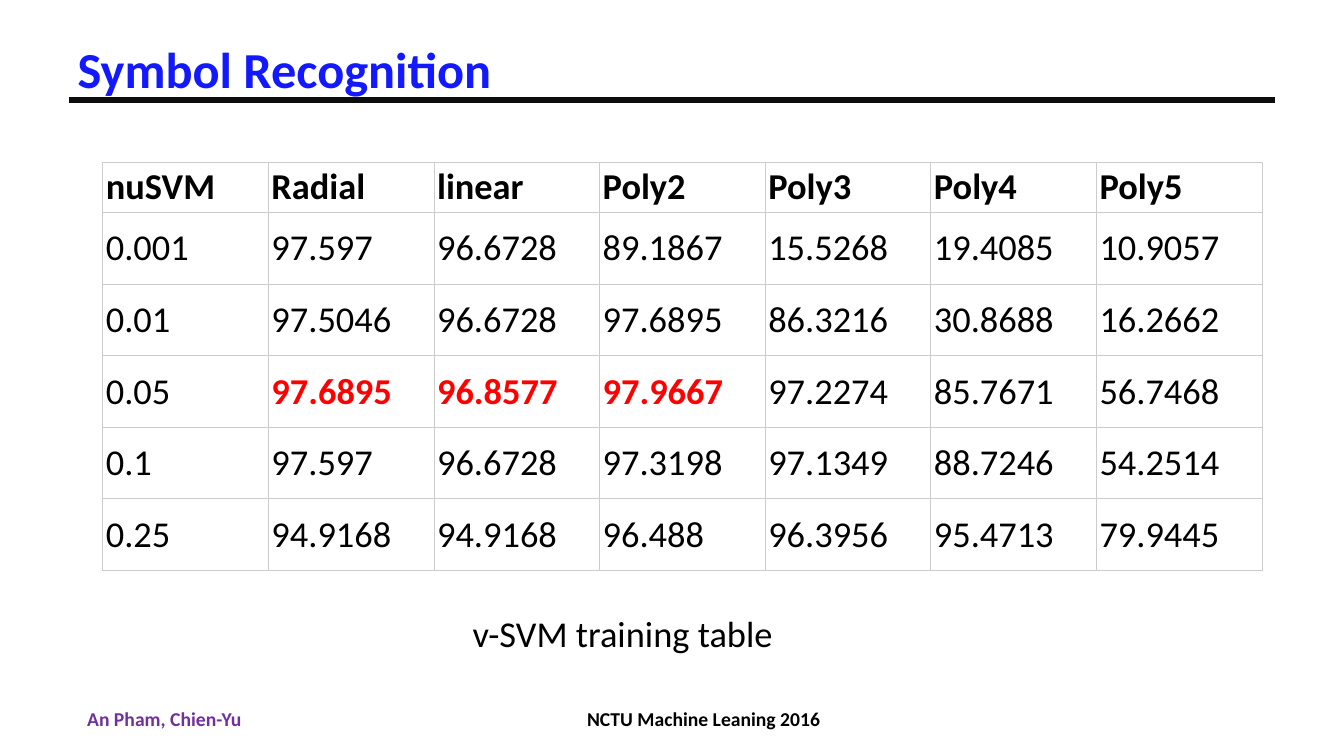
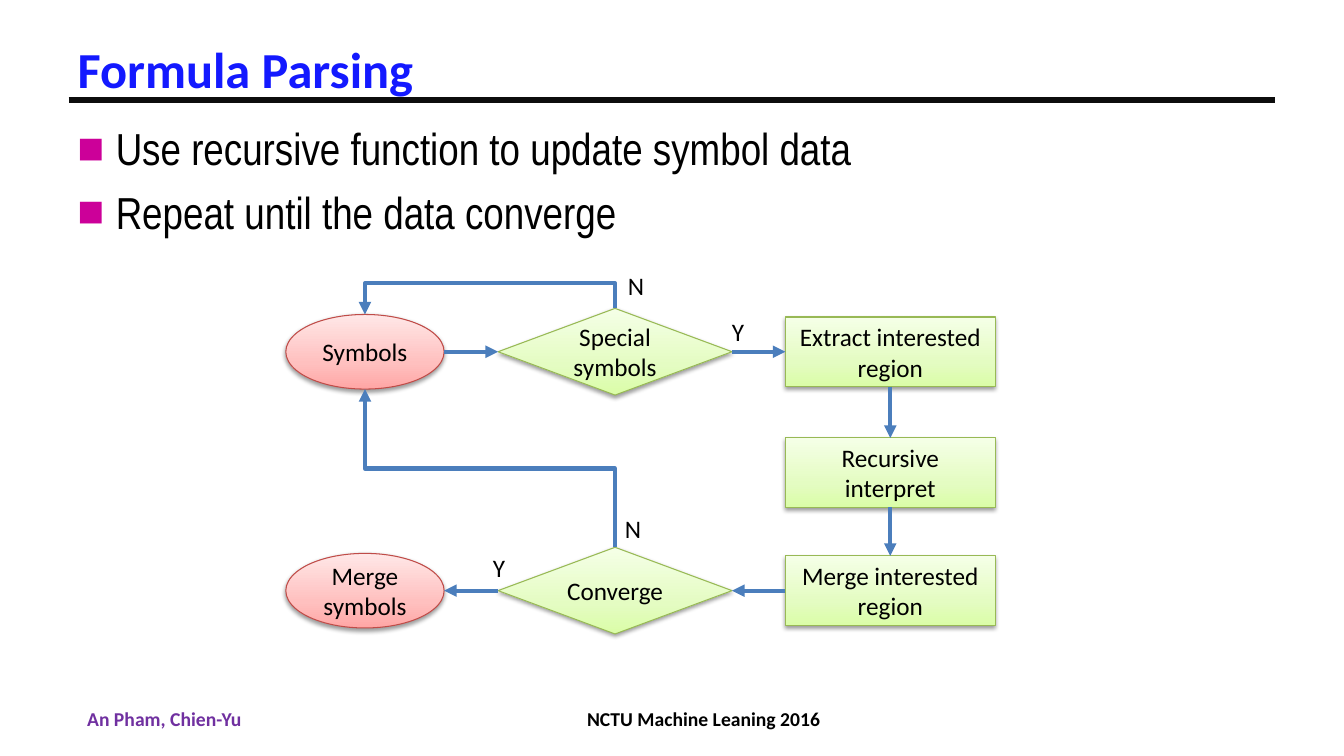
from lxml.etree import SubElement
from pptx import Presentation
from pptx.dml.color import RGBColor
from pptx.enum.shapes import MSO_CONNECTOR as Link, MSO_SHAPE as Shape
from pptx.enum.text import MSO_ANCHOR as Anchor, MSO_AUTO_SIZE as AutoSize, PP_ALIGN as Align
from pptx.oxml.ns import qn
from pptx.util import Inches, Pt

BLACK = RGBColor(0x00, 0x00, 0x00)
RULE = RGBColor(0x0D, 0x0D, 0x0D)
TITLE_BLUE = RGBColor(0x13, 0x19, 0xFF)
PURPLE = RGBColor(0x70, 0x30, 0xA0)
RED = RGBColor(0xFF, 0x00, 0x00)
GRID_GREY = RGBColor(0xCC, 0xCC, 0xCC)
BULLET_PINK = RGBColor(0xCC, 0x00, 0x99)
ARROW_BLUE = RGBColor(0x4B, 0x7E, 0xBC)
GREEN_EDGE = RGBColor(0x98, 0xB9, 0x55)
RED_EDGE = RGBColor(0xBF, 0x4C, 0x48)
GREEN_STOPS = [(0, RGBColor(0xDA, 0xFD, 0xA7)), (35, RGBColor(0xE4, 0xFC, 0xC2)), (100, RGBColor(0xF5, 0xFF, 0xE7))]
RED_STOPS = [(0, RGBColor(0xFF, 0xA6, 0xA5)), (35, RGBColor(0xFF, 0xC0, 0xBF)), (100, RGBColor(0xFF, 0xE7, 0xE7))]

FONT = "Calibri"
BODY_FONT = "Arial Narrow"
TOP, LEFT, BOTTOM, RIGHT = range(4)

NODE_STYLES = {
    "choice": (Shape.FLOWCHART_DECISION, 2.32, 0.86, GREEN_STOPS, GREEN_EDGE),
    "state": (Shape.OVAL, 1.57, 0.74, RED_STOPS, RED_EDGE),
    "step": (Shape.RECTANGLE, 2.08, 0.69, GREEN_STOPS, GREEN_EDGE),
}
FLOW_COLUMNS = (0.79, 3.27, 6.0)
FLOW_ROWS = (0.86, 2.06, 3.23)
FLOW_NODES = [
    ("Symbols", "state", 0, 0),
    ("Special symbols", "choice", 1, 0),
    ("Extract interested region", "step", 2, 0),
    ("Recursive interpret", "step", 2, 1),
    ("Merge interested region", "step", 2, 2),
    ("Converge", "choice", 1, 2),
    ("Merge symbols", "state", 0, 2),
]
FLOW_ARROWS = [
    ("Symbols", RIGHT, "Special symbols", LEFT),
    ("Special symbols", RIGHT, "Extract interested region", LEFT),
    ("Extract interested region", BOTTOM, "Recursive interpret", TOP),
    ("Recursive interpret", BOTTOM, "Merge interested region", TOP),
    ("Merge interested region", LEFT, "Converge", RIGHT),
    ("Converge", LEFT, "Merge symbols", RIGHT),
]
FLOW_RETURNS = [
    ("Special symbols", TOP, "Symbols", TOP, 0.18),
    ("Converge", TOP, "Symbols", BOTTOM, 2.02),
]
FLOW_LABELS = [("N", 3.3, 0), ("Y", 1.96, 2.8), ("N", 3.27, 2.41), ("Y", 4.33, 0.46)]

TRAINING_ROWS = [
    ["nuSVM", "Radial", "linear", "Poly2", "Poly3", "Poly4", "Poly5"],
    ["0.001", "97.597", "96.6728", "89.1867", "15.5268", "19.4085", "10.9057"],
    ["0.01", "97.5046", "96.6728", "97.6895", "86.3216", "30.8688", "16.2662"],
    ["0.05", "97.6895", "96.8577", "97.9667", "97.2274", "85.7671", "56.7468"],
    ["0.1", "97.597", "96.6728", "97.3198", "97.1349", "88.7246", "54.2514"],
    ["0.25", "94.9168", "94.9168", "96.488", "96.3956", "95.4713", "79.9445"],
]
BEST_CELLS = {(3, 1), (3, 2), (3, 3)}


def box(*lengths):
    return [Inches(length) for length in lengths]


def write(paragraph, text, size, color=BLACK, bold=False, font=FONT, align=Align.LEFT):
    paragraph.alignment = align
    run = paragraph.add_run()
    run.text = text
    run.font.name = font
    run.font.size = Pt(size)
    run.font.bold = bold
    run.font.color.rgb = color


def add_solid(parent, color):
    SubElement(SubElement(parent, qn("a:solidFill")), qn("a:srgbClr"), val=str(color))


def add_line(slide, kind, start, end, color, width):
    line = slide.shapes.add_connector(kind, *start, *end)
    line.line.color.rgb = color
    line.line.width = Pt(width)
    SubElement(line._element.spPr, qn("a:effectLst"))
    return line


def add_label(slide, left, top, width, height, text, size):
    frame = slide.shapes.add_textbox(*box(left, top, width, height)).text_frame
    frame.word_wrap = False
    frame.auto_size = AutoSize.SHAPE_TO_FIT_TEXT
    write(frame.paragraphs[0], text, size)


def add_footer(slide, left, width, text, color):
    footer = slide.shapes.add_shape(Shape.ROUNDED_RECTANGLE, *box(left, 6.9, width, 0.47))
    footer.shadow.inherit = False
    footer.fill.background()
    footer.line.fill.background()
    footer.text_frame.vertical_anchor = Anchor.MIDDLE
    write(footer.text_frame.paragraphs[0], text, 14, color, True, align=Align.CENTER)


def add_titled_slide(prs, heading):
    slide = prs.slides.add_slide(prs.slide_layouts[5])
    add_line(slide, Link.STRAIGHT, box(0.68, 0.99), box(12.65, 0.99), RULE, 4.5)
    add_footer(slide, 4.25, 5.46, "NCTU Machine Leaning 2016", BLACK)
    add_footer(slide, 0.37, 2.52, "An Pham, Chien-Yu", PURPLE)
    title = slide.shapes.title
    title.left, title.top, title.width, title.height = box(0.67, 0.21, 12, 0.94)
    title.text_frame.vertical_anchor = Anchor.MIDDLE
    write(title.text_frame.paragraphs[0], heading, 36, TITLE_BLUE, True)
    return slide


def style_cell(cell):
    cell.margin_left = cell.margin_right = Inches(0.03)
    cell.margin_top = cell.margin_bottom = Inches(0.02)
    cell.vertical_anchor = Anchor.MIDDLE
    properties = cell._tc.get_or_add_tcPr()
    for side in ("a:lnL", "a:lnR", "a:lnT", "a:lnB"):
        add_solid(SubElement(properties, qn(side), w=str(Pt(0.75))), GRID_GREY)
    cell.fill.background()


def add_training_table(slide, left, top, width, height, header_height):
    row_count, column_count = len(TRAINING_ROWS), len(TRAINING_ROWS[0])
    table = slide.shapes.add_table(row_count, column_count, *box(left, top, width, height)).table
    table.first_row = table.horz_banding = False
    for column in table.columns:
        column.width = Inches(width / column_count)
    for r, values in enumerate(TRAINING_ROWS):
        table.rows[r].height = Inches((height - header_height) / (row_count - 1) if r else header_height)
        for c, value in enumerate(values):
            best = (r, c) in BEST_CELLS
            cell = table.cell(r, c)
            style_cell(cell)
            write(cell.text_frame.paragraphs[0], value, 26, RED if best else BLACK, best or r == 0)


def add_bullets(slide, left, top, width, height, lines):
    frame = slide.shapes.add_textbox(*box(left, top, width, height)).text_frame
    frame.word_wrap = True
    for i, line in enumerate(lines):
        paragraph = frame.add_paragraph() if i else frame.paragraphs[0]
        write(paragraph, line, 32, font=BODY_FONT)
        paragraph.space_before = Pt(7)
        properties = paragraph._p.get_or_add_pPr()
        properties.set("marL", str(Inches(0.38)))
        properties.set("indent", str(-Inches(0.38)))
        SubElement(SubElement(properties, qn("a:buClr")), qn("a:srgbClr"), val=str(BULLET_PINK))
        SubElement(properties, qn("a:buFont"), typeface="Arial")
        SubElement(properties, qn("a:buChar"), char="■")


def add_node(slide, center_x, center_y, text, style):
    preset, width, height, stops, edge = NODE_STYLES[style]
    node = slide.shapes.add_shape(preset, *box(center_x - width / 2, center_y - height / 2, width, height))
    node.fill.gradient()
    node.fill.gradient_angle = 90
    stop_list = node._element.spPr.find(".//" + qn("a:gsLst"))
    stop_list.clear()
    for position, color in stops:
        stop = SubElement(stop_list, qn("a:gs"), pos=str(position * 1000))
        SubElement(stop, qn("a:srgbClr"), val=str(color))
    node.line.color.rgb = edge
    node.line.width = Pt(0.75)
    effects = SubElement(node._element.spPr, qn("a:effectLst"))
    shadow = SubElement(effects, qn("a:outerShdw"), blurRad=str(Pt(3.1)), dist=str(Pt(1.6)),
                        dir="5400000", rotWithShape="0")
    SubElement(SubElement(shadow, qn("a:srgbClr"), val=str(BLACK)), qn("a:alpha"), val="38000")
    node.text_frame.word_wrap = True
    node.text_frame.vertical_anchor = Anchor.MIDDLE
    write(node.text_frame.paragraphs[0], text, 18, align=Align.CENTER)
    return node


def add_arrow(slide, kind, source, source_side, target, target_side):
    arrow = add_line(slide, kind, (0, 0), (0, 0), ARROW_BLUE, 3)
    arrow.begin_connect(source, source_side)
    arrow.end_connect(target, target_side)
    for node, side, tag in ((source, source_side, "a:stCxn"), (target, target_side, "a:endCxn")):
        if node.auto_shape_type == Shape.OVAL:
            arrow._element.find(".//" + qn(tag)).set("idx", str(2 * side))
    SubElement(arrow.line._get_or_add_ln(), qn("a:tailEnd"), type="triangle")
    return arrow


def bend_vertically(arrow, bend_y):
    x0, y0, x1, y1 = arrow.begin_x, arrow.begin_y, arrow.end_x, arrow.end_y
    run, rise = abs(x1 - x0), abs(y1 - y0)
    arrow.left, arrow.top = (x0 + x1 - rise) // 2, (y0 + y1 - run) // 2
    arrow.width, arrow.height = rise, run
    properties = arrow._element.spPr
    frame = properties.find(qn("a:xfrm"))
    frame.set("rot", "16200000")
    frame.set("flipH", "1" if y1 > y0 else "0")
    frame.set("flipV", "1")
    guides = properties.find(qn("a:prstGeom")).get_or_add_avLst()
    share = round((bend_y - y0) / (y1 - y0) * 100000)
    SubElement(guides, qn("a:gd"), name="adj1", fmla=f"val {share}")


def add_flowchart(slide, left, top):
    nodes = {
        text: add_node(slide, left + FLOW_COLUMNS[column], top + FLOW_ROWS[row], text, style)
        for text, style, column, row in FLOW_NODES
    }
    for source, source_side, target, target_side in FLOW_ARROWS:
        add_arrow(slide, Link.STRAIGHT, nodes[source], source_side, nodes[target], target_side)
    for source, source_side, target, target_side, bend in FLOW_RETURNS:
        arrow = add_arrow(slide, Link.ELBOW, nodes[source], source_side, nodes[target], target_side)
        bend_vertically(arrow, Inches(top + bend))
    for text, x, y in FLOW_LABELS:
        add_label(slide, left + x, top + y, 0.34, 0.4, text, 18)


def main():
    prs = Presentation()
    prs.slide_width, prs.slide_height = box(13.33, 7.5)

    recognition = add_titled_slide(prs, "Symbol Recognition")
    add_training_table(recognition, 1.02, 1.61, 11.5, 4.05, 0.5)
    add_label(recognition, 4.59, 6.01, 3.22, 0.54, "v-SVM training table", 26)

    parsing = add_titled_slide(prs, "Formula Parsing")
    add_bullets(parsing, 0.67, 1.15, 12, 1.4,
                ["Use recursive function to update symbol data", "Repeat until the data converge"])
    add_flowchart(parsing, 2.83, 2.63)

    prs.save("out.pptx")


if __name__ == "__main__":
    main()
